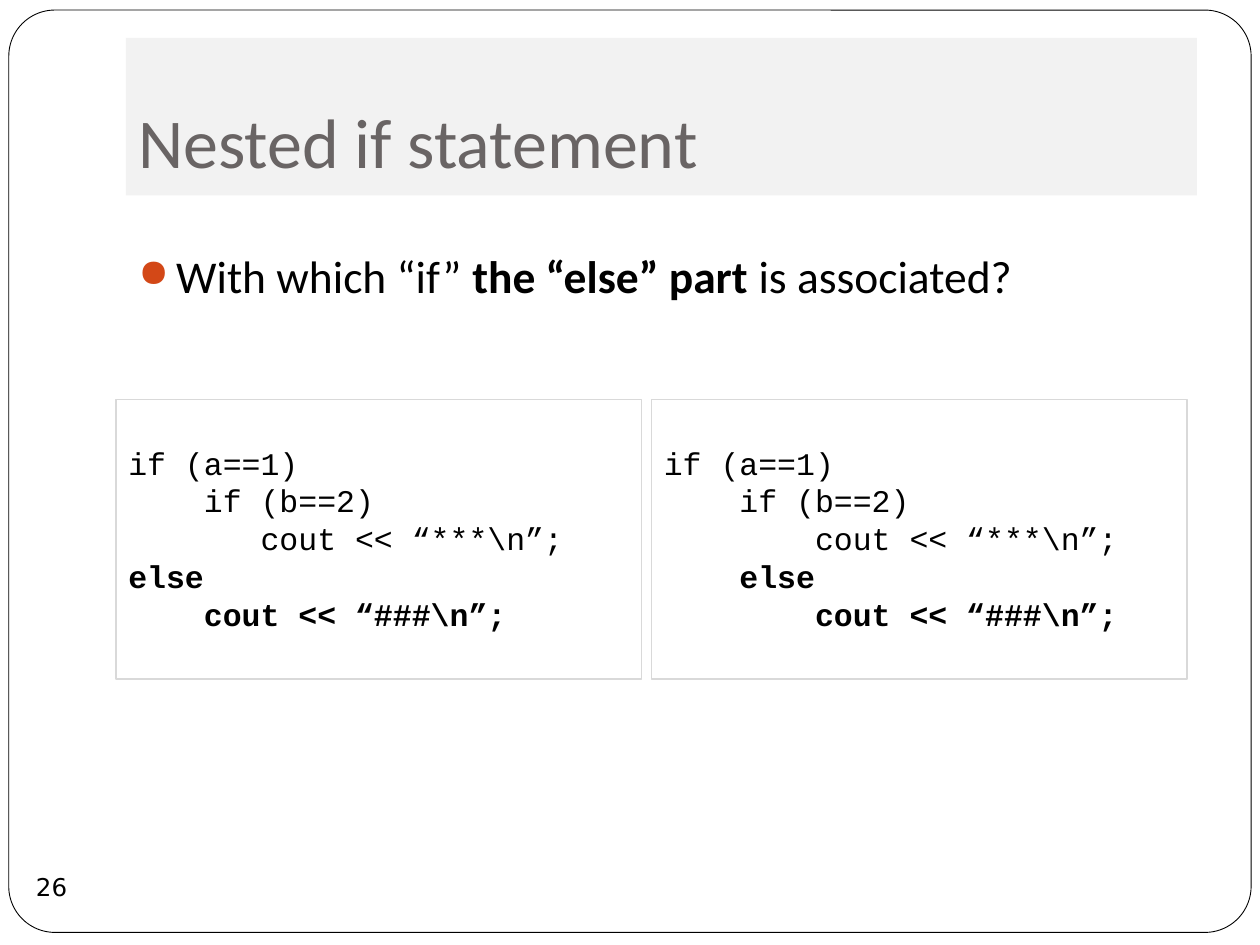
"""Builds the slide on nested if statements."""
import pptx
import pptx.dml.color
import pptx.enum.shapes
import pptx.enum.text
import pptx.oxml
import pptx.oxml.ns
import pptx.util
from pptx.util import Inches

RGBColor = pptx.dml.color.RGBColor
SHAPE = pptx.enum.shapes.MSO_SHAPE
ANCHOR = pptx.enum.text.MSO_ANCHOR
ALIGN = pptx.enum.text.PP_ALIGN

BLACK = RGBColor(0x00, 0x00, 0x00)
WHITE = RGBColor(0xFF, 0xFF, 0xFF)
TITLE_GREY = RGBColor(0x69, 0x64, 0x64)
BAND_GREY = RGBColor(0xF2, 0xF2, 0xF2)
BORDER_GREY = RGBColor(0xD9, 0xD9, 0xD9)
BULLET_RED = RGBColor(0xD3, 0x48, 0x17)

OUTER_ELSE = [
    ("if (a==1)", False),
    ("    if (b==2)", False),
    ("       cout << “***\\n”;", False),
    ("else", True),
    ("    cout << “###\\n”;", True),
]
INNER_ELSE = [
    ("if (a==1)", False),
    ("    if (b==2)", False),
    ("        cout << “***\\n”;", False),
    ("    else", True),
    ("        cout << “###\\n”;", True),
]


def add_box(s, kind, left, top, width, height, fill=None, line=None, weight=0.75):
    """Add a preset shape with left-aligned text and optional fill and line."""
    sp = s.shapes.add_shape(kind, Inches(left), Inches(top), Inches(width), Inches(height))
    sp.shadow.inherit = False
    if fill is None:
        sp.fill.background()
    else:
        sp.fill.solid()
        sp.fill.fore_color.rgb = fill
    if line is None:
        sp.line.fill.background()
    else:
        sp.line.color.rgb = line
        sp.line.width = pptx.util.Pt(weight)
    sp.text_frame.paragraphs[0].alignment = ALIGN.LEFT
    return sp


def set_insets(tf, left, top, right, bottom):
    """Set the four text insets in inches."""
    tf.margin_left, tf.margin_top = Inches(left), Inches(top)
    tf.margin_right, tf.margin_bottom = Inches(right), Inches(bottom)


def add_run(p, text, font, size, color=BLACK, bold=False):
    """Append a formatted run to a paragraph."""
    r = p.add_run()
    r.text = text
    r.font.name = font
    r.font.size = pptx.util.Pt(size)
    r.font.color.rgb = color
    r.font.bold = bold


def add_frame(s):
    """Add the rounded outline around the slide."""
    sp = add_box(s, SHAPE.ROUNDED_RECTANGLE, 0.07, 0.08, 9.86, 7.32, WHITE, BLACK, 0.5)
    sp.adjustments[0] = 0.05


def add_title(s, text):
    """Add the title band."""
    tf = add_box(s, SHAPE.RECTANGLE, 1, 0.3, 8.5, 1.25, BAND_GREY).text_frame
    tf.vertical_anchor = ANCHOR.BOTTOM
    set_insets(tf, 0.1, 0.05, 0.1, 0.1)
    add_run(tf.paragraphs[0], text, "Calibri", 40, TITLE_GREY)


def add_bullet(p, color):
    """Give a paragraph a round bullet with a hanging indent."""
    pPr = p._p.get_or_add_pPr()
    pPr.set("marL", str(Inches(0.3)))
    pPr.set("indent", str(Inches(-0.3)))
    ns = pptx.oxml.ns.nsdecls("a")
    for xml in (
        f'<a:buClr {ns}><a:srgbClr val="{color}"/></a:buClr>',
        f'<a:buSzPct {ns} val="85000"/>',
        f'<a:buChar {ns} char="●"/>',
    ):
        pPr.append(pptx.oxml.parse_xml(xml))


def add_question(s, parts):
    """Add the bulleted question from (text, bold) parts."""
    tf = s.shapes.add_textbox(Inches(1), Inches(1.92), Inches(8.5), Inches(1.03)).text_frame
    tf.word_wrap = True
    p = tf.paragraphs[0]
    add_bullet(p, BULLET_RED)
    for text, bold in parts:
        add_run(p, text, "Calibri", 26, bold=bold)


def add_code(s, left, width, lines):
    """Add a bordered code listing from (text, bold) lines."""
    tf = add_box(s, SHAPE.RECTANGLE, left, 3.17, width, 2.22, line=BORDER_GREY).text_frame
    tf.vertical_anchor = ANCHOR.TOP
    set_insets(tf, 0.1, 0.35, 0.1, 0.05)
    for i, (text, bold) in enumerate(lines):
        p = tf.add_paragraph() if i else tf.paragraphs[0]
        p.alignment = ALIGN.LEFT
        add_run(p, text, "Courier New", 18, bold=bold)


def add_page_number(s, number):
    """Add the page number in the lower left corner."""
    tf = add_box(s, SHAPE.OVAL, 0.16, 6.79, 0.5, 0.5).text_frame
    tf.word_wrap = False
    tf.vertical_anchor = ANCHOR.MIDDLE
    set_insets(tf, 0, 0, 0, 0)
    p = tf.paragraphs[0]
    p.alignment = ALIGN.CENTER
    add_run(p, number, "DejaVu Sans", 14)


def main():
    """Build and save the slide."""
    prs = pptx.Presentation()
    prs.slide_width, prs.slide_height = Inches(10), Inches(7.5)
    s = prs.slides.add_slide(prs.slide_layouts[6])
    add_frame(s)
    add_page_number(s, "26")
    add_question(s, [("With which “if” ", False), ("the “else” part", True), (" is associated?", False)])
    add_code(s, 5.17, 4.25, INNER_ELSE)
    add_code(s, 0.92, 4.17, OUTER_ELSE)
    add_title(s, "Nested if statement")
    prs.save("out.pptx")


if __name__ == "__main__":
    main()
